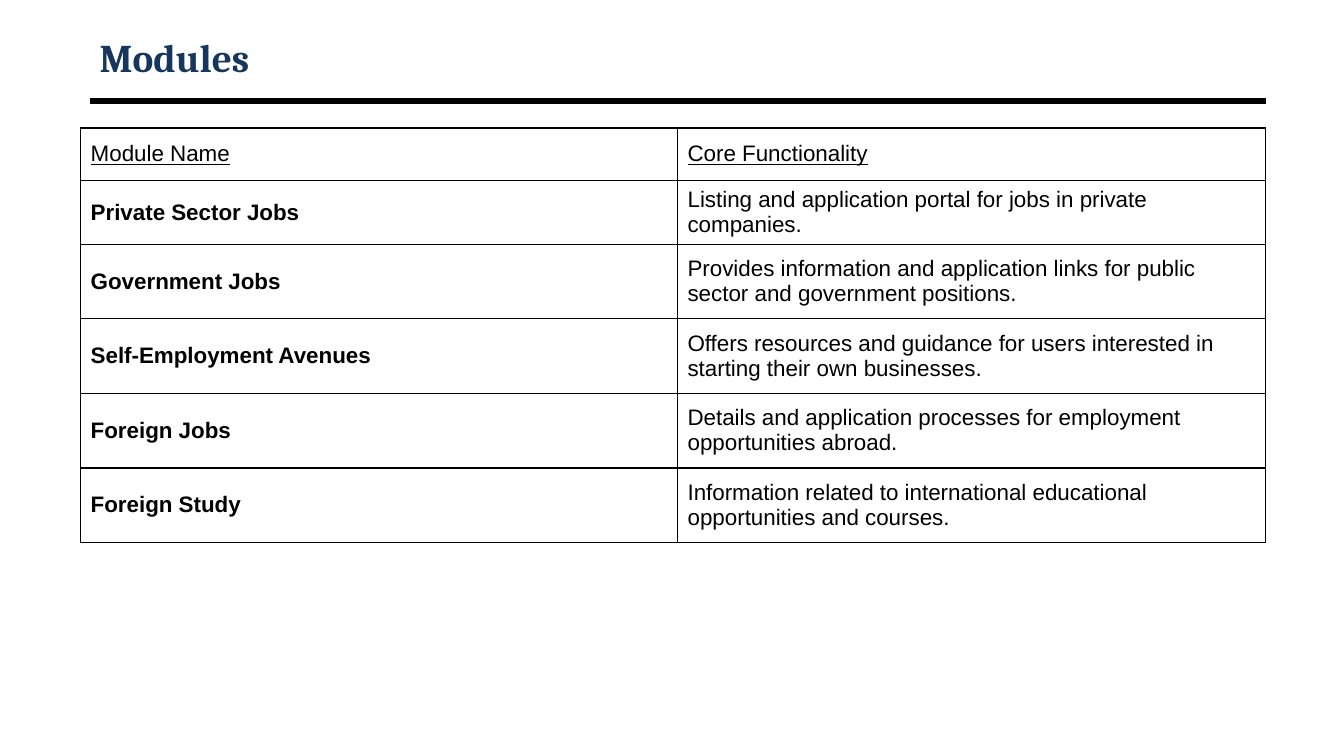
from dataclasses import dataclass

from lxml import etree
from pptx import Presentation
from pptx.dml.color import RGBColor
from pptx.enum.shapes import MSO_CONNECTOR
from pptx.enum.text import MSO_ANCHOR
from pptx.oxml.ns import qn
from pptx.util import Inches, Pt

STRAIGHT = MSO_CONNECTOR.STRAIGHT
MIDDLE = MSO_ANCHOR.MIDDLE

TITLE = "Modules"
HEADINGS = ("Module Name", "Core Functionality")
MODULES = [
    ("Private Sector Jobs",
     "Listing and application portal for jobs in private companies."),
    ("Government Jobs",
     "Provides information and application links for public sector and government positions."),
    ("Self-Employment Avenues",
     "Offers resources and guidance for users interested in starting their own businesses."),
    ("Foreign Jobs",
     "Details and application processes for employment opportunities abroad."),
    ("Foreign Study",
     "Information related to international educational opportunities and courses."),
]

SLIDE_SIZE = (13.33, 7.5)
TITLE_BOX = (0.89, 0.3, 11.67, 0.53)
RULE_Y = 1
TABLE_LEFT, TABLE_TOP = 0.8, 1.27
COLUMN_WIDTHS = (5.92, 5.83)
HEADING_HEIGHT, FIRST_MODULE_HEIGHT, MODULE_HEIGHT = 0.52, 0.59, 0.74


@dataclass(frozen=True)
class Theme:
    title_font: str = "Cambria"
    body_font: str = "Arial"
    title_size: float = 28
    body_size: float = 16
    title_color: str = "17365D"
    ink: str = "000000"
    rule_width: float = 4.5
    border_width: float = 1


THEME = Theme()


def add_run(paragraph, text, font, size, color, bold=False, underline=False):
    run = paragraph.add_run()
    run.text = text
    run.font.name = font
    run.font.size = Pt(size)
    run.font.color.rgb = RGBColor.from_string(color)
    run.font.bold = bold
    run.font.underline = underline


def add_title(slide):
    box = slide.shapes.add_textbox(*map(Inches, TITLE_BOX))
    frame = box.text_frame
    frame.word_wrap = True
    frame.vertical_anchor = MIDDLE
    add_run(frame.paragraphs[0], TITLE, THEME.title_font, THEME.title_size,
            THEME.title_color, bold=True)


def add_rule(slide):
    left, _, width, _ = TITLE_BOX
    rule = slide.shapes.add_connector(
        STRAIGHT, Inches(left), Inches(RULE_Y), Inches(left + width), Inches(RULE_Y))
    rule.line.color.rgb = RGBColor.from_string(THEME.ink)
    rule.line.width = Pt(THEME.rule_width)
    etree.SubElement(rule._element.spPr, qn("a:effectLst"))


def set_borders(cell):
    properties = cell._tc.get_or_add_tcPr()
    for side in ("a:lnL", "a:lnR", "a:lnT", "a:lnB"):
        border = etree.SubElement(properties, qn(side), w=str(Pt(THEME.border_width)))
        fill = etree.SubElement(border, qn("a:solidFill"))
        etree.SubElement(fill, qn("a:srgbClr"), val=THEME.ink)


def add_module_table(slide):
    rows = [HEADINGS, *MODULES]
    heights = [HEADING_HEIGHT, FIRST_MODULE_HEIGHT]
    heights += [MODULE_HEIGHT] * (len(rows) - len(heights))
    table = slide.shapes.add_table(
        len(rows), len(HEADINGS), Inches(TABLE_LEFT), Inches(TABLE_TOP),
        Inches(sum(COLUMN_WIDTHS)), Inches(sum(heights))).table
    table.horz_banding = False
    table.first_row = False
    for column, width in zip(table.columns, COLUMN_WIDTHS):
        column.width = Inches(width)
    for r, (texts, height) in enumerate(zip(rows, heights)):
        table.rows[r].height = Inches(height)
        for c, text in enumerate(texts):
            cell = table.cell(r, c)
            cell.vertical_anchor = MIDDLE
            set_borders(cell)
            cell.fill.background()
            add_run(cell.text_frame.paragraphs[0], text, THEME.body_font,
                    THEME.body_size, THEME.ink,
                    bold=r > 0 and c == 0, underline=r == 0)


def main():
    deck = Presentation()
    deck.slide_width, deck.slide_height = map(Inches, SLIDE_SIZE)
    slide = deck.slides.add_slide(deck.slide_layouts[6])
    add_rule(slide)
    add_title(slide)
    add_module_table(slide)
    deck.save("out.pptx")


if __name__ == "__main__":
    main()
